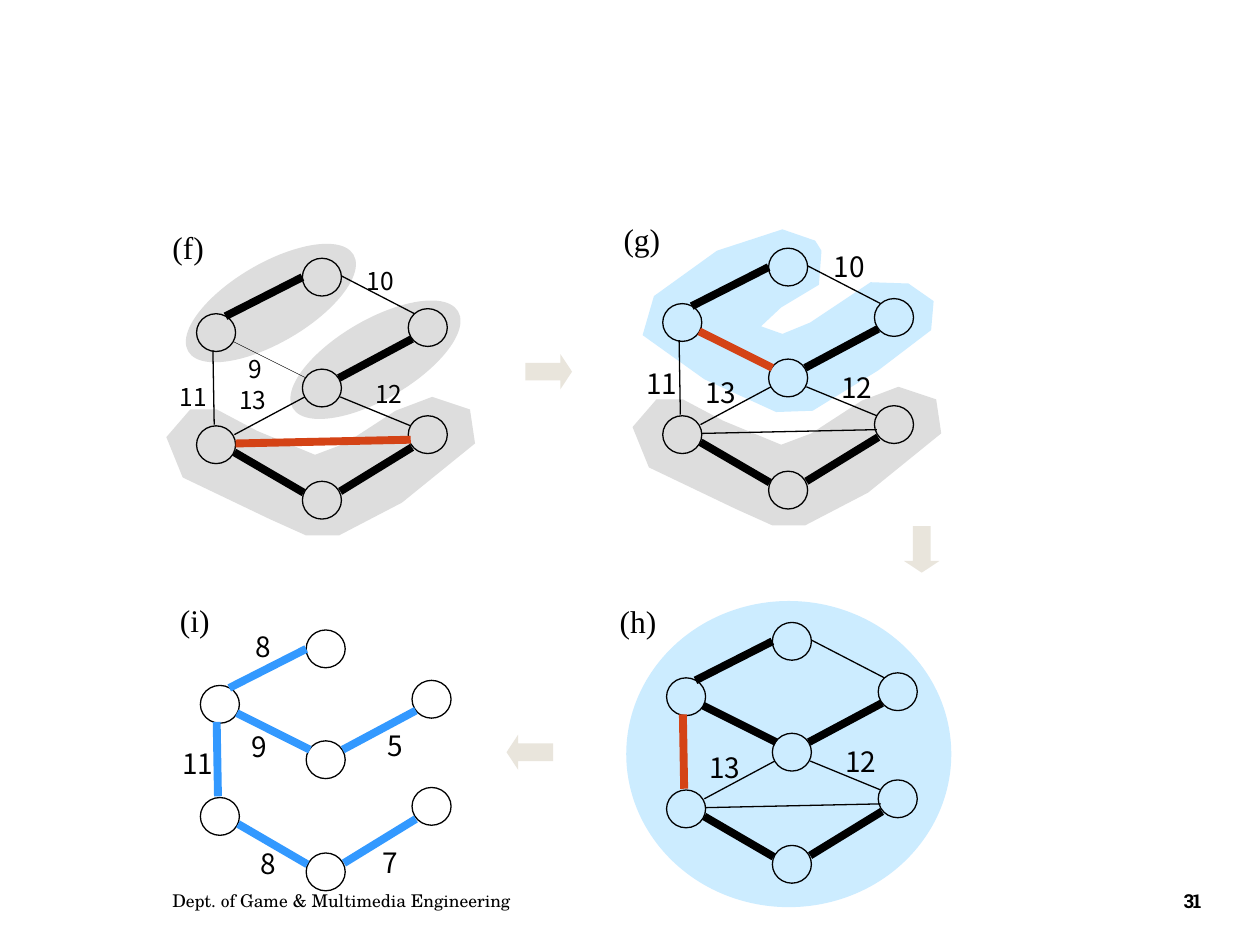
from dataclasses import dataclass

from lxml import etree
from pptx import Presentation
from pptx.dml.color import RGBColor
from pptx.enum.shapes import MSO_CONNECTOR, MSO_SHAPE
from pptx.enum.text import MSO_ANCHOR, MSO_AUTO_SIZE, PP_ALIGN
from pptx.oxml.ns import qn
from pptx.util import Inches, Pt

OVAL, ARROW = MSO_SHAPE.OVAL, MSO_SHAPE.RIGHT_ARROW
LINE = MSO_CONNECTOR.STRAIGHT
MIDDLE, FIT = MSO_ANCHOR.MIDDLE, MSO_AUTO_SIZE.SHAPE_TO_FIT_TEXT
LEFT, CENTER = PP_ALIGN.LEFT, PP_ALIGN.CENTER


@dataclass(frozen=True)
class Theme:
    ink: str = "000000"
    red: str = "D44316"
    blue: str = "3399FF"
    sky: str = "CCECFF"
    gray: str = "DDDDDD"
    sand: str = "E9E5DC"
    name_font: str = "Times New Roman"
    cost_font: str = "Noto Sans CJK KR"
    foot_font: str = "TeX Gyre Schola"
    page_font: str = "Roboto Slab"
    name_size: int = 18
    foot_size: int = 10
    page_size: int = 11
    hair: float = 0.25
    thin: float = 0.75
    bold: float = 4.5


T = Theme()

# Graph geometry, measured from each panel's origin
NODES = {"a": (0.84, 0), "b": (0, 0.44), "c": (1.68, 0.4), "d": (0.84, 0.88),
         "e": (0, 1.33), "f": (1.68, 1.25), "g": (0.84, 1.77)}
NODE_W, NODE_H = 0.31, 0.3
EDGES = {
    "bd": (0.29, 0.66, 0.87, 0.95), "de": (0.3, 1.4, 0.86, 1.1),
    "ab": (0.23, 0.46, 0.84, 0.15), "ac": (1.15, 0.14, 1.73, 0.44),
    "cd": (1.13, 0.95, 1.71, 0.64), "df": (1.14, 1.1, 1.7, 1.33),
    "eg": (0.3, 1.54, 0.85, 1.86), "fg": (1.14, 1.85, 1.71, 1.5),
    "be": (0.13, 0.73, 0.14, 1.32), "ef": (0.31, 1.47, 1.7, 1.44),
}
LOW_BLOB = [(0.87, 2.2), (1.13, 2.2), (1.63, 1.94), (2.21, 1.47), (2.17, 1.2),
            (1.87, 1.1), (1.58, 1.21), (1.18, 1.47), (0.94, 1.56), (0.48, 1.37),
            (0.16, 1.2), (-0.05, 1.2), (-0.24, 1.42), (-0.11, 1.74), (0.58, 2.07)]
TOP_BLOB = [(1.21, -0.06), (0.95, -0.15), (0.43, 0.02), (-0.07, 0.38),
            (-0.16, 0.69), (0.33, 1.04), (0.9, 1.3), (1.19, 1.29), (1.71, 0.97),
            (2.13, 0.65), (2.15, 0.42), (1.95, 0.28), (1.65, 0.27), (1.17, 0.59),
            (0.95, 0.68), (0.78, 0.62), (0.94, 0.47), (1.24, 0.29), (1.26, 0.02)]

# Edge groups: thin, bold, red, blue, hair. Ovals: x, y, w, h, turn, fill.
PANELS = [
    {"name": "(i)", "at": (1.33, 4.72, 0.44), "origin": (1.59, 5.0), "size": 16,
     "edges": {"blue": "bd ab cd eg fg be"}, "ovals": [], "blobs": [],
     "costs": [("8", 1.93, 4.95), ("9", 1.9, 5.74), ("8", 1.97, 6.67),
               ("5", 2.98, 5.73), ("7", 2.94, 6.66), ("11", 1.35, 5.88)]},
    {"name": "(h)", "at": (4.82, 4.73, 0.49), "origin": (5.29, 4.94), "size": 16,
     "edges": {"thin": "de ac df ef", "bold": "bd ab cd eg fg", "red": "be"},
     "ovals": [(4.97, 4.77, 2.58, 2.43, 0, T.sky)], "blobs": [],
     "costs": [("13", 5.53, 5.91), ("12", 6.61, 5.86)]},
    {"name": "(g)", "at": (4.85, 1.7, 0.49), "origin": (5.26, 1.97), "size": 16,
     "edges": {"thin": "de ac df be ef", "bold": "ab cd eg fg", "red": "bd"},
     "ovals": [], "blobs": [(LOW_BLOB, T.gray), (TOP_BLOB, T.sky)],
     "costs": [("10", 6.52, 1.93), ("13", 5.5, 2.93),
               ("12", 6.58, 2.89), ("11", 5.03, 2.86)]},
    {"name": "(f)", "at": (1.27, 1.76, 0.45), "origin": (1.56, 2.05), "size": 14,
     "edges": {"hair": "bd", "thin": "de ac df be", "bold": "ab cd eg fg",
               "red": "ef"},
     "ovals": [(2.22, 2.54, 1.52, 0.63, 329.7, T.gray),
               (1.39, 2.09, 1.52, 0.63, 329.7, T.gray)],
     "blobs": [(LOW_BLOB, T.gray)],
     "costs": [("10", 2.81, 2.06), ("13", 1.8, 3.01), ("12", 2.88, 2.96),
               ("11", 1.33, 2.98), ("9", 1.87, 2.76)]},
]
PENS = {"hair": (T.ink, T.hair), "thin": (T.ink, T.thin), "bold": (T.ink, T.bold),
        "red": (T.red, T.bold), "blue": (T.blue, T.bold)}
COST_BOX = {16: (0.33, 0.46, 0.37), 14: (0.31, 0.42, 0.33)}  # one digit, two, height
ARROWS = [(4.17, 2.81, 0), (4.02, 5.83, 180), (7.13, 4.22, 90)]

deck = Presentation()
deck.slide_width, deck.slide_height = Inches(10), Inches(7.5)
slide = deck.slides.add_slide(deck.slide_layouts[6])
shapes = slide.shapes


def color(code):
    return RGBColor.from_string(code)


def paint(shape, fill=None):
    """Fill a shape without an outline, or outline it without a fill."""
    shape.shadow.inherit = False
    if fill:
        shape.fill.solid()
        shape.fill.fore_color.rgb = color(fill)
        shape.line.fill.background()
    else:
        shape.fill.background()
        shape.line.color.rgb = color(T.ink)
        shape.line.width = Pt(T.thin)


def add_form(kind, x, y, w, h, fill=None, turn=0):
    shape = shapes.add_shape(kind, Inches(x), Inches(y), Inches(w), Inches(h))
    shape.rotation = turn
    paint(shape, fill)
    return shape


def add_blob(points, origin, fill):
    spots = [(Inches(origin[0] + x), Inches(origin[1] + y)) for x, y in points]
    pen = shapes.build_freeform(*spots[0])
    pen.add_line_segments(spots[1:], close=True)
    paint(pen.convert_to_shape(), fill)


def add_edge(ends, origin, pen):
    x, y = origin
    x1, y1, x2, y2 = ends
    edge = shapes.add_connector(LINE, Inches(x + x1), Inches(y + y1),
                                Inches(x + x2), Inches(y + y2))
    edge.line.color.rgb, edge.line.width = color(pen[0]), Pt(pen[1])
    etree.SubElement(edge._element.spPr, qn("a:effectLst"))


def add_text(text, x, y, w, h, font, size, wrap=False, align=LEFT):
    box = shapes.add_textbox(Inches(x), Inches(y), Inches(w), Inches(h))
    frame = box.text_frame
    frame.word_wrap = wrap
    if wrap:
        frame.vertical_anchor = MIDDLE
    else:
        frame.auto_size = FIT
    para = frame.paragraphs[0]
    para.alignment = align
    run = para.add_run()
    run.text = text
    run.font.name, run.font.size = font, Pt(size)
    run.font.color.rgb = color(T.ink)
    return run


def add_panel(panel):
    origin = panel["origin"]
    for x, y, w, h, turn, fill in panel["ovals"]:
        add_form(OVAL, x, y, w, h, fill, turn)
    for points, fill in panel["blobs"]:
        add_blob(points, origin, fill)
    x, y, w = panel["at"]
    add_text(panel["name"], x, y, w, 0.4, T.name_font, T.name_size)
    for x, y in NODES.values():
        add_form(OVAL, origin[0] + x, origin[1] + y, NODE_W, NODE_H)
    for pen, keys in panel["edges"].items():
        for key in keys.split():
            add_edge(EDGES[key], origin, PENS[pen])
    one, two, high = COST_BOX[panel["size"]]
    for cost, x, y in panel["costs"]:
        wide = one if len(cost) == 1 else two
        add_text(cost, x, y, wide, high, T.cost_font, panel["size"])


for panel in PANELS:
    add_panel(panel)
for x, y, turn in ARROWS:
    arrow = add_form(ARROW, x, y, 0.37, 0.28, T.sand, turn)
    arrow.adjustments[1] = 0.33

add_text("Dept. of Game & Multimedia Engineering", 1.27, 6.95, 4.59, 0.4,
         T.foot_font, T.foot_size, wrap=True)
page = add_text("31", 9.2, 6.95, 0.53, 0.4, T.page_font, T.page_size,
                wrap=True, align=CENTER)
page.font.bold = True
page.font._element.set("spc", "-70")

deck.save("out.pptx")
